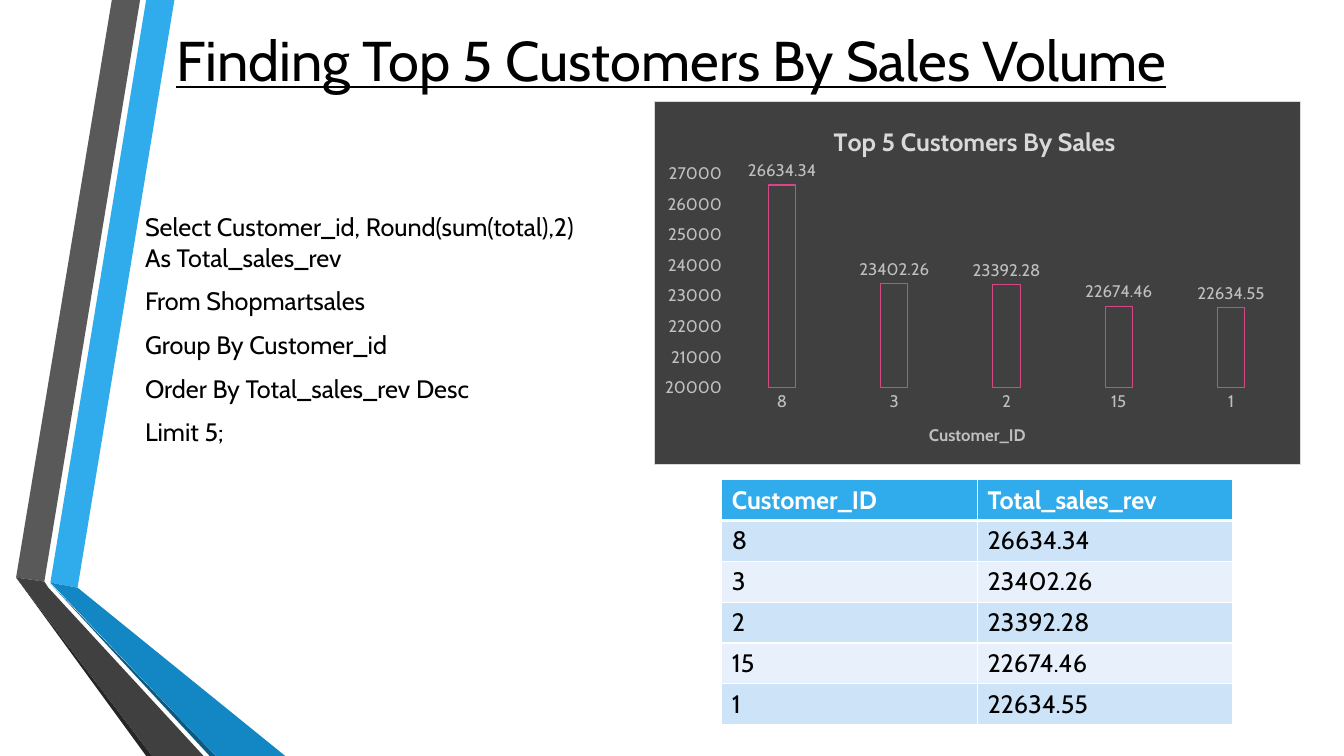
"""Build a slide on the top five customers by sales: query, chart and table."""
from lxml import etree
from pptx import Presentation
from pptx.chart.data import CategoryChartData
from pptx.dml.color import RGBColor
from pptx.enum.chart import XL_CHART_TYPE as CHART, XL_LABEL_POSITION as LABEL
from pptx.enum.chart import XL_TICK_MARK as TICK
from pptx.enum.text import MSO_ANCHOR as ANCHOR, PP_ALIGN as ALIGN
from pptx.oxml import parse_xml
from pptx.oxml.ns import nsdecls, qn
from pptx.util import Inches, Pt

FONT = "Cabin"
SALES = {"8": 26634.34, "3": 23402.26, "2": 23392.28, "15": 22674.46, "1": 22634.55}


def style(font, size, color, bold=False):
    """Set the slide's typeface with a size, colour and weight."""
    font.name, font.size, font.bold = FONT, Pt(size), bold
    font.color.rgb = RGBColor.from_string(color)


def place(element, **fractions):
    """Give a chart part a manual layout in fractions of the chart."""
    layout = element.find(qn("c:layout"))
    if layout is not None:
        element.remove(layout)
    layout = etree.Element(qn("c:layout"))
    manual = etree.SubElement(layout, qn("c:manualLayout"))
    if "w" in fractions:
        etree.SubElement(manual, qn("c:layoutTarget")).set("val", "inner")
    for name in ("xMode", "yMode"):
        etree.SubElement(manual, qn(f"c:{name}")).set("val", "edge")
    for name, value in fractions.items():
        etree.SubElement(manual, qn(f"c:{name}")).set("val", str(value))
    element.insert(0 if element.find(qn("c:tx")) is None else 1, layout)


prs = Presentation()
prs.slide_width, prs.slide_height = Inches(13.33), Inches(7.5)
s = prs.slides.add_slide(prs.slide_layouts[6])

ribbons = [
    ("30ACEC", [(0.5, 5.78), (0.77, 5.83), (1.73, 0), (1.45, 0)]),
    ("595959", [(1.39, 0), (1.11, 0), (0.16, 5.73), (0.44, 5.77)]),
    ("262626", [(0.16, 5.73), (1.45, 7.5), (1.51, 7.5)]),
    ("0C5A82", [(0.5, 5.79), (2.08, 7.5), (2.14, 7.5)]),
    ("1287C3", [(0.5, 5.78), (2.14, 7.5), (2.83, 7.5), (0.77, 5.83)]),
    ("404040", [(2.02, 7.5), (0.48, 5.83), (0.44, 5.77), (0.16, 5.73), (1.51, 7.5)]),
]
for color, corners in ribbons:
    points = [(Inches(x), Inches(y)) for x, y in corners]
    outline = s.shapes.build_freeform(*points[0])
    outline.add_line_segments(points[1:])
    sp = outline.convert_to_shape()
    sp.shadow.inherit = False
    sp.fill.solid()
    sp.fill.fore_color.rgb = RGBColor.from_string(color)
    sp.line.fill.background()

title = s.shapes.add_textbox(Inches(0.14), Inches(0.17), Inches(13.04), Inches(0.83))
tf = title.text_frame
tf.word_wrap = True
tf.vertical_anchor = ANCHOR.MIDDLE
p = tf.paragraphs[0]
p.alignment = ALIGN.CENTER
r = p.add_run()
r.text = "Finding Top 5 Customers By Sales Volume"
style(r.font, 40, "000000")
r.font.underline = True

query = s.shapes.add_textbox(Inches(1.34), Inches(2.05), Inches(4.58), Inches(3.61))
tf = query.text_frame
tf.word_wrap = True
clauses = [
    "Select Customer_id, Round(sum(total),2) As Total_sales_rev",
    "From Shopmartsales",
    "Group By Customer_id",
    "Order By Total_sales_rev Desc",
    "Limit 5;",
]
for i, clause in enumerate(clauses):
    p = tf.add_paragraph() if i else tf.paragraphs[0]
    p.space_before, p.space_after = Pt(3.6), Pt(6)
    r = p.add_run()
    r.text = clause
    style(r.font, 18, "000000")

rows = [("Customer_ID", "Total_sales_rev")] + [(k, f"{v:.2f}") for k, v in SALES.items()]
table = s.shapes.add_table(len(rows), 2, Inches(7.16), Inches(4.76),
                           Inches(5.07), Inches(2.43)).table
for i, row in enumerate(rows):
    header = i == 0
    for j, text in enumerate(row):
        cell = table.cell(i, j)
        cell.vertical_anchor = ANCHOR.TOP if header else ANCHOR.MIDDLE
        cell.fill.solid()
        fill = "30ACEC" if header else ("E8F1FB", "CDE3F8")[i % 2]
        cell.fill.fore_color.rgb = RGBColor.from_string(fill)
        r = cell.text_frame.paragraphs[0].add_run()
        r.text = text
        style(r.font, 18, "FFFFFF" if header else "000000", header)
        widths = {"L": 1, "R": 1, "T": 3 if i == 1 else 1, "B": 3 if header else 1}
        for n, (side, width) in enumerate(widths.items()):
            cell._tc.get_or_add_tcPr().insert(n, parse_xml(
                f'<a:ln{side} {nsdecls("a")} w="{Pt(width)}"><a:solidFill>'
                f'<a:srgbClr val="FFFFFF"/></a:solidFill></a:ln{side}>'))

data = CategoryChartData()
data.categories = list(SALES)
data.add_series("Series 1", list(SALES.values()))
chart = s.shapes.add_chart(CHART.COLUMN_CLUSTERED, Inches(6.49), Inches(1),
                           Inches(6.41), Inches(3.61), data).chart
style(chart.font, 10, "000000")
chart.has_legend = False
chart._chartSpace.find(qn("c:chart")).addnext(parse_xml(
    f'<c:spPr {nsdecls("c", "a")}><a:solidFill><a:srgbClr val="404040"/></a:solidFill>'
    f'<a:ln w="{Pt(0.75)}"><a:solidFill><a:srgbClr val="D9D9D9"/></a:solidFill></a:ln></c:spPr>'))

cats, vals = chart.category_axis, chart.value_axis
for axis in (cats, vals):
    axis.major_tick_mark = axis.minor_tick_mark = TICK.NONE
    axis.has_major_gridlines = False
    axis.format.line.fill.background()
    style(axis.tick_labels.font, 12, "BFBFBF")
vals.minimum_scale, vals.maximum_scale, vals.major_unit = 20000, 27000, 1000
vals.tick_labels.number_format = "0"
vals.tick_labels.number_format_is_linked = False

headings = [
    (chart.chart_title, "Top 5 Customers By Sales", 18, "D9D9D9", 0.27, 0.05),
    (cats.axis_title, "Customer_ID", 12, "BFBFBF", 0.42, 0.88),
]
for heading, text, size, color, x, y in headings:
    r = heading.text_frame.paragraphs[0].add_run()
    r.text = text
    style(r.font, size, color, True)
    place(heading._element, x=x, y=y)

plot = chart.plots[0]
plot.gap_width, plot.overlap, plot.vary_by_categories = 315, -40, False
place(chart._chartSpace.chart.plotArea, x=0.11, y=0.2, w=0.87, h=0.59)
bars = plot.series[0]
bars.format.fill.background()
bars.format.line.color.rgb = RGBColor.from_string("D64787")
bars.format.line.width = Pt(0.75)
labels = bars.data_labels
labels.show_value = True
labels.position = LABEL.OUTSIDE_END
style(labels.font, 12, "BFBFBF")

prs.save("out.pptx")
